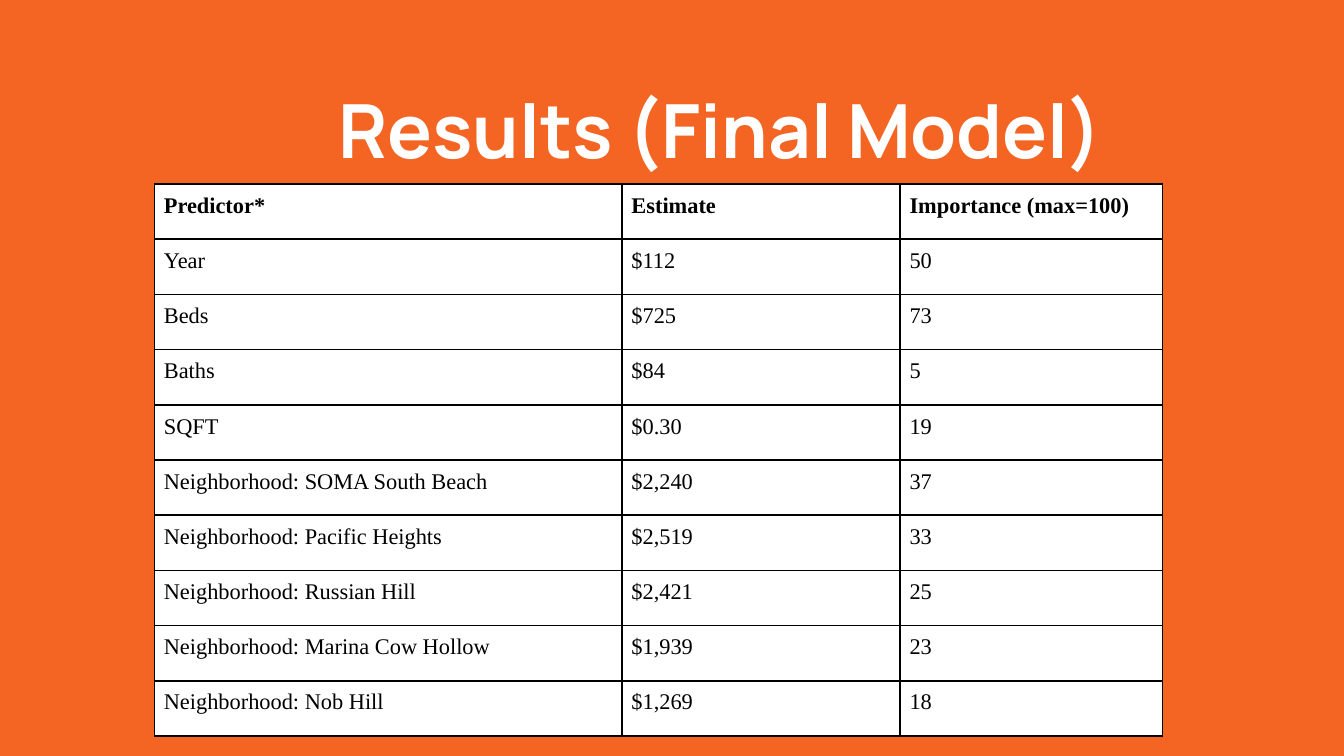
"""Build the slide with the final model's results table."""
from dataclasses import astuple, dataclass

from lxml import etree
from pptx import Presentation
from pptx.dml.color import RGBColor
from pptx.enum.text import MSO_ANCHOR, MSO_AUTO_SIZE, PP_ALIGN
from pptx.oxml.ns import qn
from pptx.slide import Slide
from pptx.table import _Cell
from pptx.text.text import _Paragraph
from pptx.util import Pt

CENTER = PP_ALIGN.CENTER
MIDDLE = MSO_ANCHOR.MIDDLE
TOP = MSO_ANCHOR.TOP
NO_AUTOFIT = MSO_AUTO_SIZE.NONE

COLORS = {"background": "F46524", "title": "FFFFFF", "cell": "FFFFFF", "text": "000000", "border": "000000"}
TITLE_FONT = "Manrope"
TABLE_FONT = "Times New Roman"
COLUMN_WIDTHS = (250.5, 149, 140.5)
ROW_HEIGHT = 29.57
CELL_INSET = 5
BORDER_WIDTH = 1
BORDER_TAGS = ("a:lnL", "a:lnR", "a:lnT", "a:lnB")


@dataclass(frozen=True)
class Predictor:
    """One row of the results table."""

    name: str
    estimate: str
    importance: str


HEADER = Predictor("Predictor*", "Estimate", "Importance (max=100)")
PREDICTORS = (
    Predictor("Year", "$112", "50"),
    Predictor("Beds", "$725", "73"),
    Predictor("Baths", "$84", "5"),
    Predictor("SQFT", "$0.30", "19"),
    Predictor("Neighborhood: SOMA South Beach", "$2,240", "37"),
    Predictor("Neighborhood: Pacific Heights", "$2,519", "33"),
    Predictor("Neighborhood: Russian Hill", "$2,421", "25"),
    Predictor("Neighborhood: Marina Cow Hollow", "$1,939", "23"),
    Predictor("Neighborhood: Nob Hill", "$1,269", "18"),
)


def add_run(paragraph: _Paragraph, text: str, font: str, size: float, color: str, bold: bool) -> None:
    """Append a formatted run to a paragraph."""
    run = paragraph.add_run()
    run.text = text
    run.font.name = font
    run.font.size = Pt(size)
    run.font.bold = bold
    run.font.color.rgb = RGBColor.from_string(COLORS[color])


def add_borders(cell: _Cell) -> None:
    """Draw a solid line on every side of a cell."""
    properties = cell._tc.get_or_add_tcPr()
    for tag in BORDER_TAGS:
        line = etree.SubElement(properties, qn(tag), w=str(Pt(BORDER_WIDTH)))
        fill = etree.SubElement(line, qn("a:solidFill"))
        etree.SubElement(fill, qn("a:srgbClr"), val=COLORS["border"])


def fill_cell(cell: _Cell, text: str, bold: bool) -> None:
    """Write and format one table cell."""
    cell.margin_left = cell.margin_right = Pt(CELL_INSET)
    cell.margin_top = cell.margin_bottom = Pt(CELL_INSET)
    cell.vertical_anchor = TOP
    add_borders(cell)
    cell.fill.solid()
    cell.fill.fore_color.rgb = RGBColor.from_string(COLORS["cell"])
    add_run(cell.text_frame.paragraphs[0], text, TABLE_FONT, 12, "text", bold)


def add_title(slide: Slide, text: str) -> None:
    """Place and format the slide title."""
    title = slide.shapes.title
    title.left, title.top, title.width, title.height = Pt(132.5), Pt(38.5), Pt(507), Pt(60.5)
    frame = title.text_frame
    frame.word_wrap = True
    frame.auto_size = NO_AUTOFIT
    frame.vertical_anchor = MIDDLE
    frame.margin_left = frame.margin_right = Pt(7.2)
    frame.margin_top = frame.margin_bottom = Pt(7.2)
    heading = frame.paragraphs[0]
    heading.alignment = CENTER
    add_run(heading, text, TITLE_FONT, 40, "title", True)


def add_results(slide: Slide, left: float, top: float) -> None:
    """Add the table of predictors."""
    rows = (HEADER, *PREDICTORS)
    results = slide.shapes.add_table(
        len(rows), len(COLUMN_WIDTHS), Pt(left), Pt(top),
        Pt(sum(COLUMN_WIDTHS)), Pt(ROW_HEIGHT * len(rows)),
    ).table
    results.horz_banding = False
    for column, width in zip(results.columns, COLUMN_WIDTHS):
        column.width = Pt(width)
    for row, predictor in zip(results.rows, rows):
        row.height = Pt(ROW_HEIGHT)
        for cell, text in zip(row.cells, astuple(predictor)):
            fill_cell(cell, text, predictor is HEADER)


def main() -> None:
    """Build and save the presentation."""
    presentation = Presentation()
    presentation.slide_width, presentation.slide_height = Pt(720), Pt(405)
    slide = presentation.slides.add_slide(presentation.slide_layouts[5])
    slide.background.fill.solid()
    slide.background.fill.fore_color.rgb = RGBColor.from_string(COLORS["background"])
    add_title(slide, "Results (Final Model)")
    add_results(slide, 82.8, 98.6)
    presentation.save("out.pptx")


if __name__ == "__main__":
    main()
